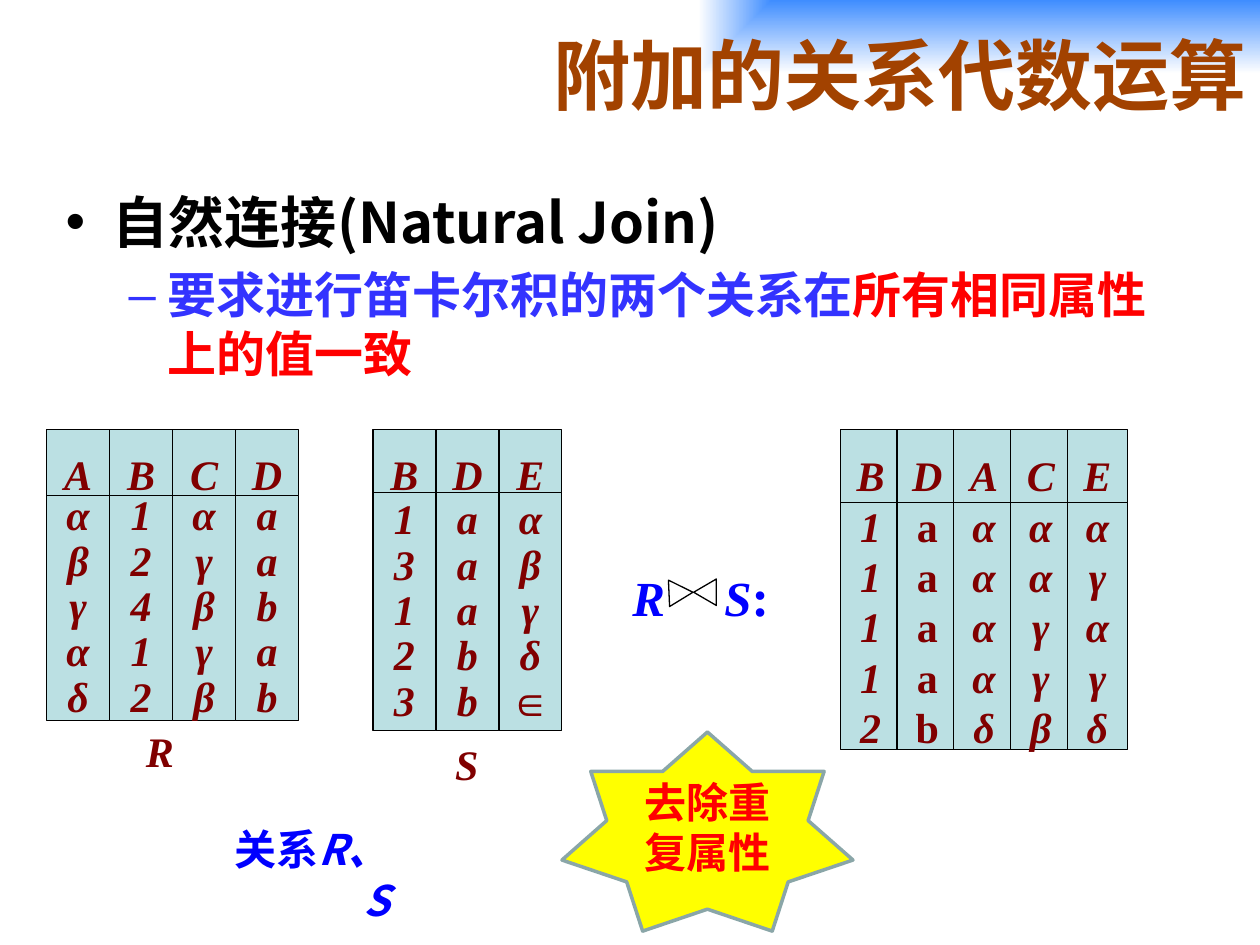
import pptx
import pptx.dml.color
import pptx.enum.shapes
import pptx.enum.text
import pptx.oxml
import pptx.oxml.ns
import pptx.util

Inches = pptx.util.Inches
Pt = pptx.util.Pt
Shape = pptx.enum.shapes.MSO_SHAPE
Align = pptx.enum.text.PP_ALIGN
Anchor = pptx.enum.text.MSO_ANCHOR

COLORS = {
    "title": "A24200", "sky": "3F8DFF", "white": "FFFFFF", "black": "000000",
    "rule": "3333FF", "red": "FF0000", "cell": "BBE0E3", "value": "800000",
    "blue": "0000FF", "yellow": "FFFF00", "star_line": "8AA6A8",
}
SANS_SC = "Noto Sans CJK SC"
SANS = "Noto Sans CJK JP"
SERIF = "Times New Roman"


def rgb(name):
    return pptx.dml.color.RGBColor.from_string(COLORS[name])


def element(xml):
    return pptx.oxml.parse_xml(xml.replace(" ", f" {pptx.oxml.ns.nsdecls('a')} ", 1))


class SlideBuilder:
    """Holds the text style and the current slide, and adds its elements."""

    def __init__(self, slide):
        self.slide = slide
        self.size = 24

    def style(self, paragraph, font, color, size=None, italic=None, align=None):
        paragraph.alignment = align
        paragraph.font.name = font
        paragraph.font.size = Pt(size or self.size)
        paragraph.font.bold = True
        paragraph.font.italic = italic
        paragraph.font.color.rgb = rgb(color)
        paragraph.font._element.append(element(f'<a:ea typeface="{font}"/>'))

    def place(self, shape, left, top, width, height):
        shape.left, shape.top = Inches(left), Inches(top)
        shape.width, shape.height = Inches(width), Inches(height)

    def title(self, text, box):
        shape = self.slide.shapes.title
        self.place(shape, *box)
        shape.text_frame.text = text
        shape.text_frame.vertical_anchor = Anchor.MIDDLE
        self.style(shape.text_frame.paragraphs[0], SANS_SC, "title", 44, align=Align.RIGHT)
        shape.fill.background()
        fill = shape._element.spPr.find(pptx.oxml.ns.qn("a:noFill"))
        fill.getparent().replace(fill, element(
            '<a:gradFill rotWithShape="0"><a:gsLst>'
            f'<a:gs pos="0"><a:srgbClr val="{COLORS["sky"]}"/></a:gs>'
            f'<a:gs pos="100000"><a:srgbClr val="{COLORS["white"]}"/></a:gs></a:gsLst>'
            '<a:path path="rect"><a:fillToRect l="100000" b="100000"/></a:path></a:gradFill>'))

    def body(self, heading, parts, box):
        shape = self.slide.placeholders[1]
        self.place(shape, *box)
        frame = shape.text_frame
        frame.auto_size = pptx.enum.text.MSO_AUTO_SIZE.NONE
        frame.text = heading
        self.style(frame.paragraphs[0], SANS, "black", 32)
        detail = frame.add_paragraph()
        detail.level = 1
        self.style(detail, SANS, parts[0][1], 28)
        self.runs(detail, parts)

    def runs(self, paragraph, parts):
        for text, color, *italic in parts:
            run = paragraph.add_run()
            run.text = text
            run.font.color.rgb = rgb(color)
            if italic:
                run.font.italic = italic[0]

    def text(self, box, wrap=False, anchor=Anchor.MIDDLE):
        frame = self.slide.shapes.add_textbox(*map(Inches, box)).text_frame
        frame.word_wrap = wrap
        frame.vertical_anchor = anchor
        return frame

    def label(self, text, box):
        paragraph = self.text(box).paragraphs[0]
        paragraph.text = text
        self.style(paragraph, SERIF, "value", italic=True, align=Align.CENTER)

    def shape(self, kind, box, fill=None, line="black", weight=0.75):
        shape = self.slide.shapes.add_shape(kind, *map(Inches, box))
        shape.shadow.inherit = False
        if fill:
            shape.fill.solid()
            shape.fill.fore_color.rgb = rgb(fill)
        else:
            shape.fill.background()
        shape.line.color.rgb = rgb(line)
        shape.line.width = Pt(weight)
        shape.text_frame.vertical_anchor = Anchor.MIDDLE
        return shape

    def cell(self, values, box, italic=True, spacing=None):
        frame = self.shape(Shape.RECTANGLE, box, "cell").text_frame
        frame.word_wrap = False
        frame.text = "\n".join(values)
        for paragraph in frame.paragraphs:
            paragraph.line_spacing = spacing
            self.style(paragraph, SERIF, "value", italic=italic, align=Align.CENTER)

    def relation(self, columns, left, step, width, header, body_top, body_height,
                 spacing=None, upright=""):
        for index, (name, values) in enumerate(columns.items()):
            x = left + index * step
            self.cell(name, (x, 3.41, width, header))
            self.cell(values, (x, body_top, width, body_height), name not in upright, spacing)

    def join(self):
        frame = self.text((4.82, 4.43, 2.1, 0.6), wrap=True)
        frame.margin_left = Inches(0.2)
        paragraph = frame.paragraphs[0]
        self.style(paragraph, SERIF, "blue", 28)
        paragraph.font._element.addprevious(element(
            f'<a:tabLst ><a:tab pos="{Inches(0.73)}" algn="l"/></a:tabLst>'))
        self.runs(paragraph, [("R\tS", "blue", True), (":", "blue", False)])
        paragraph.runs[-1].font.size = Pt(30)
        for left, height, angle in ((5.3, 0.19, 87.5), (5.49, 0.18, 270)):
            self.shape(Shape.ISOSCELES_TRIANGLE, (left, 4.61, 0.21, height)).rotation = angle

    def caption(self, parts, box):
        paragraph = self.text(box, wrap=True, anchor=Anchor.TOP).paragraphs[0]
        self.style(paragraph, SANS, "blue", align=Align.RIGHT)
        self.runs(paragraph, parts)

    def star(self, text, box):
        frame = self.shape(Shape.STAR_7_POINT, box, "yellow", "star_line", 2).text_frame
        frame.text = text
        self.style(frame.paragraphs[0], SANS, "red", align=Align.CENTER)


def main():
    presentation = pptx.Presentation()
    presentation.slide_width, presentation.slide_height = Inches(10), Inches(7.5)
    builder = SlideBuilder(presentation.slides.add_slide(presentation.slide_layouts[1]))

    builder.title("附加的关系代数运算", (1.08, 0, 8.92, 1.17))
    builder.body("自然连接(Natural Join)",
                 [("要求进行笛卡尔积的两个关系在", "rule"), ("所有相同属性上的值一致", "red")],
                 (0.42, 1.44, 9, 1.21))
    builder.relation({"A": "αβγαδ", "B": "12412", "C": "αγβγβ", "D": "aabab"},
                     0.37, 0.5, 0.5, 0.7, 3.93, 1.79, spacing=0.9)
    builder.relation({"B": "13123", "D": "aaabb", "E": "αβγδ∈"},
                     2.96, 0.5, 0.5, 0.7, 3.91, 1.89, spacing=0.9)
    builder.label("R", (1.06, 5.71, 0.42, 0.5))
    builder.label("S", (3.51, 5.81, 0.39, 0.5))
    builder.caption([("关系", "blue"), ("R、S", "blue", True)], (1.56, 6.49, 1.63, 0.51))
    builder.relation({"B": "11112", "D": "aaaab", "A": "ααααδ", "C": "ααγγβ", "E": "αγαγδ"},
                     6.67, 0.45, 0.48, 0.72, 3.99, 1.96, upright="D")
    builder.join()
    builder.star("去除重复属性", (4.46, 5.81, 2.31, 1.58))
    presentation.save("out.pptx")


if __name__ == "__main__":
    main()
